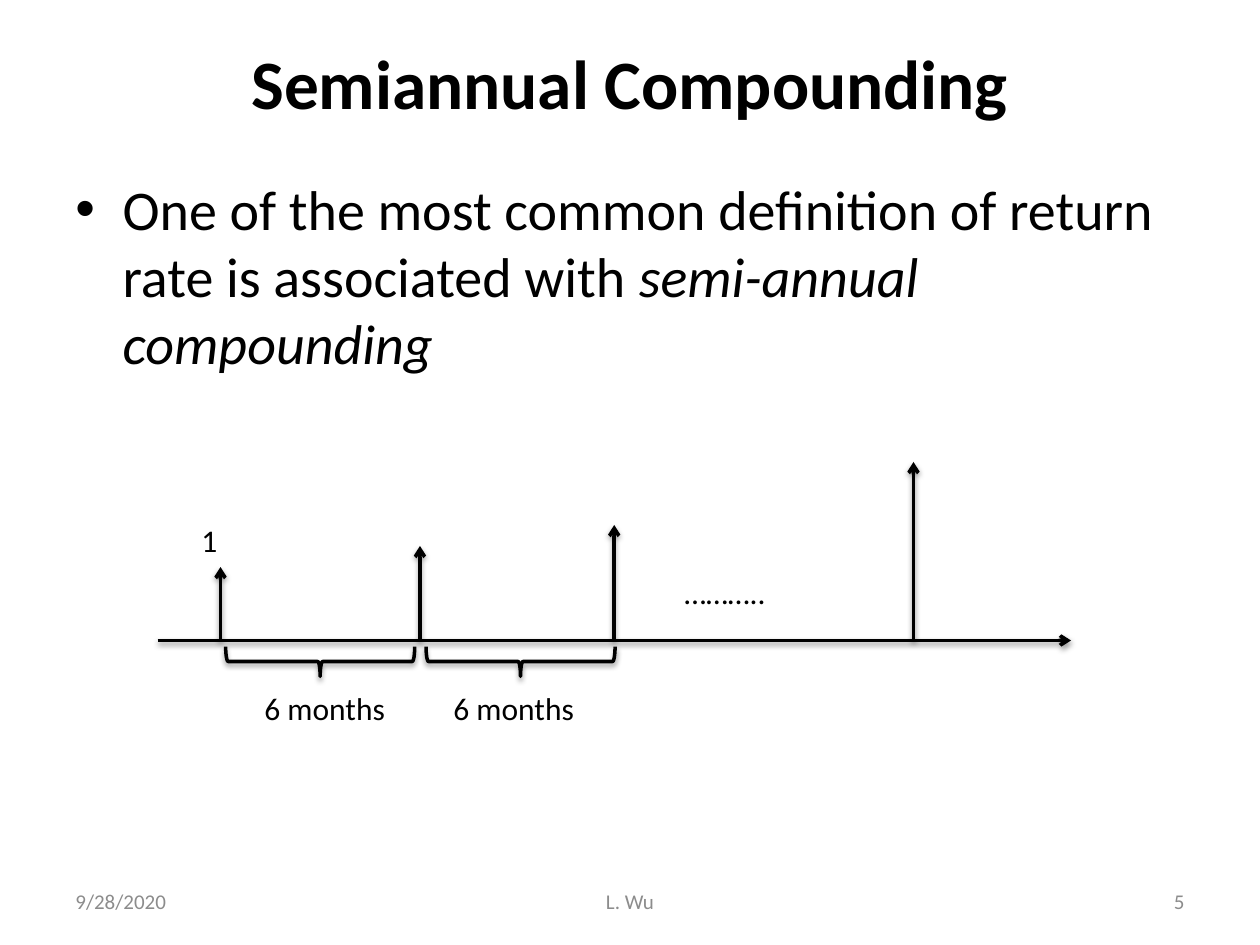
from lxml import etree
from pptx import Presentation
from pptx.dml.color import RGBColor
from pptx.enum import shapes, text
from pptx.oxml import ns
from pptx.util import Pt

THEME = {
    "font": "Calibri",
    "ink": RGBColor(0, 0, 0),
    "muted": RGBColor(0x8C, 0x8C, 0x8C),
    "title": 39.6,
    "body": 32,
    "label": 18,
    "footer": 12,
    "line": 2,
}
LEFT, CENTER, RIGHT = text.PP_ALIGN.LEFT, text.PP_ALIGN.CENTER, text.PP_ALIGN.RIGHT
TOP, MIDDLE = text.MSO_ANCHOR.TOP, text.MSO_ANCHOR.MIDDLE

TITLE = "Semiannual Compounding"
BODY = [
    ("One of the most common definition of return rate is associated with ", False),
    ("semi-annual compounding", True),
]
FOOTERS = [
    ("9/28/2020", 36, 168, LEFT),
    ("L. Wu", 246, 228, CENTER),
    ("5", 516, 168, RIGHT),
]
LABELS = [
    ("1", 108, 294, 36),
    ("6 months", 144, 390, 84),
    ("6 months", 252, 390, 84),
    ("………..", 384, 324, 72),
]
AXIS_Y, AXIS_START, AXIS_END = 366, 90, 612
CASH_FLOWS = [(126, 324), (240, 312), (351, 300), (522, 264)]
BRACE_CENTERS = [183, 297.5]
BRACE_SPAN, BRACE_DEPTH, BRACE_Y = 108, 17, 378


def add_child(parent, tag, **attributes):
    return etree.SubElement(parent, ns.qn(tag), attributes)


def add_text(slide, runs, box, size, color="ink", align=LEFT, anchor=TOP, bold=False):
    shape = slide.shapes.add_textbox(*map(Pt, box))
    frame = shape.text_frame
    frame.word_wrap = True
    frame.vertical_anchor = anchor
    paragraph = frame.paragraphs[0]
    paragraph.alignment = align
    for content, italic in runs:
        run = paragraph.add_run()
        run.text = content
        run.font.name = THEME["font"]
        run.font.size = Pt(THEME[size])
        run.font.color.rgb = THEME[color]
        run.font.bold = bold
        run.font.italic = italic
    return paragraph


def add_bullet(paragraph, indent):
    properties = paragraph._p.get_or_add_pPr()
    properties.set("marL", str(Pt(indent)))
    properties.set("indent", str(-Pt(indent)))
    add_child(properties, "a:buFont", typeface="Arial")
    add_child(properties, "a:buChar", char="•")


def style_stroke(shape):
    shape.line.color.rgb = THEME["ink"]
    shape.line.width = Pt(THEME["line"])
    effects = add_child(shape._element.spPr, "a:effectLst")
    shadow = add_child(effects, "a:outerShdw", blurRad=str(Pt(3.1)), dist=str(Pt(1.6)),
                       dir="5400000", rotWithShape="0")
    add_child(add_child(shadow, "a:srgbClr", val=str(THEME["ink"])), "a:alpha", val="38000")


def add_arrow(slide, start, end):
    arrow = slide.shapes.add_connector(shapes.MSO_CONNECTOR.STRAIGHT, *map(Pt, start + end))
    style_stroke(arrow)
    add_child(arrow.line._get_or_add_ln(), "a:tailEnd", type="arrow")


def add_brace(slide, center):
    brace = slide.shapes.add_shape(
        shapes.MSO_SHAPE.LEFT_BRACE,
        Pt(center - BRACE_DEPTH / 2), Pt(BRACE_Y - BRACE_SPAN / 2),
        Pt(BRACE_DEPTH), Pt(BRACE_SPAN))
    brace.rotation = 270
    brace.fill.background()
    style_stroke(brace)


def main():
    presentation = Presentation()
    presentation.slide_width, presentation.slide_height = Pt(720), Pt(540)
    slide = presentation.slides.add_slide(presentation.slide_layouts[6])

    add_text(slide, [(TITLE, False)], (36, 21.6, 648, 50.4), "title",
             align=CENTER, anchor=MIDDLE, bold=True)
    add_bullet(add_text(slide, BODY, (36, 96, 648, 386.4), "body"), 27)
    for content, left, width, align in FOOTERS:
        add_text(slide, [(content, False)], (left, 500.5, width, 28.75), "footer",
                 "muted", align, MIDDLE)

    add_arrow(slide, (AXIS_START, AXIS_Y), (AXIS_END, AXIS_Y))
    for x, tip in CASH_FLOWS:
        add_arrow(slide, (x, AXIS_Y), (x, tip))
    for center in BRACE_CENTERS:
        add_brace(slide, center)
    for content, left, top, width in LABELS:
        add_text(slide, [(content, False)], (left, top, width, 29), "label")

    presentation.save("out.pptx")


if __name__ == "__main__":
    main()
